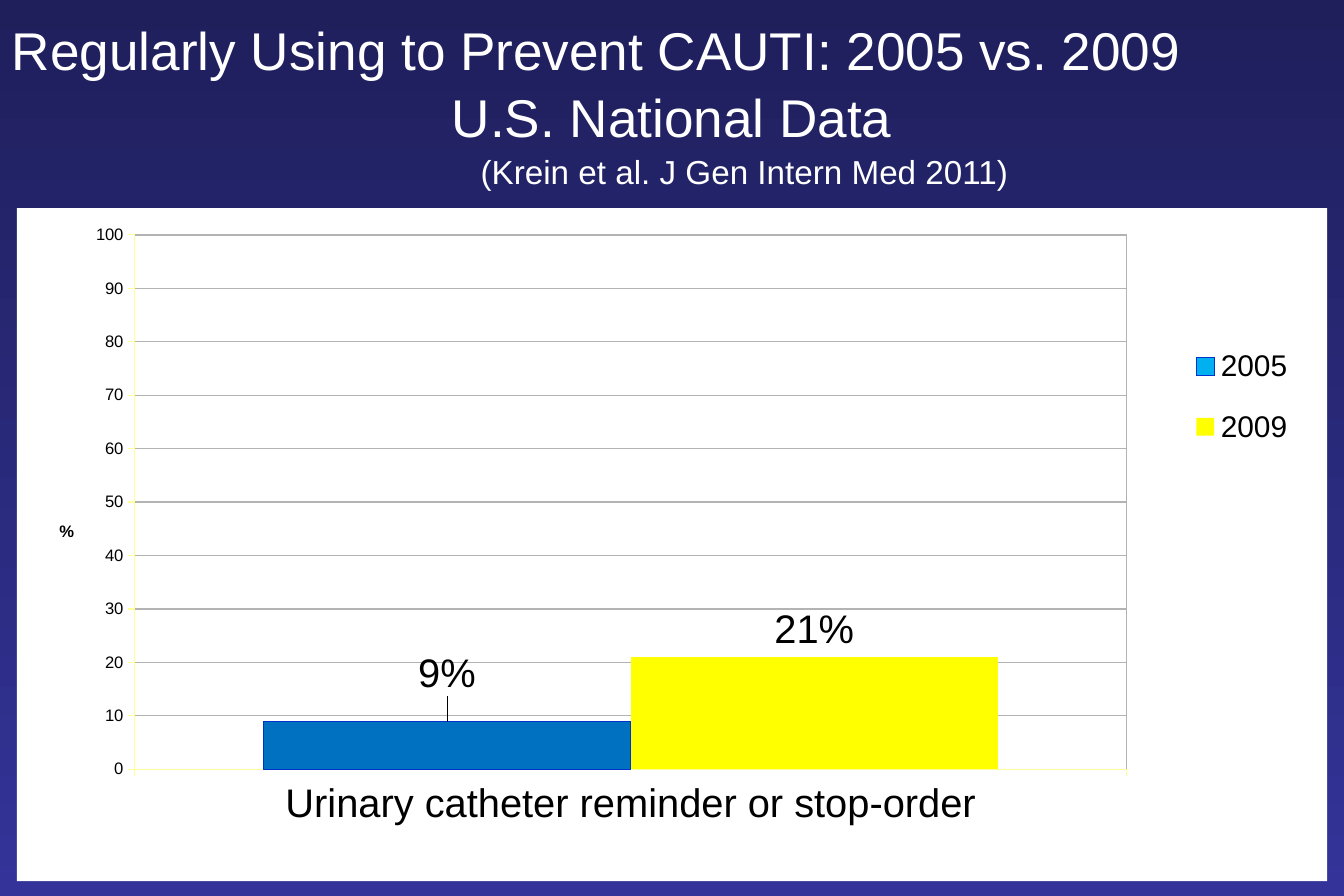
from lxml.etree import SubElement
from pptx import Presentation
from pptx.chart.data import CategoryChartData
from pptx.dml.color import RGBColor
from pptx.enum.chart import XL_CHART_TYPE, XL_LABEL_POSITION, XL_LEGEND_POSITION, XL_TICK_MARK
from pptx.enum.text import MSO_ANCHOR, MSO_AUTO_SIZE, PP_ALIGN
from pptx.oxml import parse_xml
from pptx.oxml.ns import nsdecls, qn
from pptx.util import Pt

PX = 7620  # EMU, 120 px to the inch
FONT = "Arial"
WHITE = RGBColor(0xFF, 0xFF, 0xFF)
BLACK = RGBColor(0, 0, 0)
NAVY = RGBColor(0x1F, 0x1F, 0x5C)
INDIGO = RGBColor(0x33, 0x33, 0x99)
GRID_GREY = RGBColor(0xB3, 0xB3, 0xB3)
AXIS_YELLOW = RGBColor(0xFF, 0xFF, 0x99)
SKY = RGBColor(0x00, 0xB0, 0xF0)
BLUE = RGBColor(0x00, 0x70, 0xC0)
OUTLINE_BLUE = RGBColor(0x00, 0x33, 0xCC)
YELLOW = RGBColor(0xFF, 0xFF, 0x00)

# text, size, alignment, left indent in px
TITLE_LINES = [
    ("Regularly Using to Prevent CAUTI: 2005 vs. 2009", 32, PP_ALIGN.LEFT, 0),
    ("U.S. National Data", 32, PP_ALIGN.CENTER, 0),
    ("(Krein et al. J Gen Intern Med 2011)", 20, PP_ALIGN.CENTER, 146),
]
CATEGORY = "Urinary catheter reminder or stop-order"
# year, value, legend colour, bar colour, outline, label lift
SERIES = [
    ("2005", 9, SKY, BLUE, OUTLINE_BLUE, -0.03),
    ("2009", 21, YELLOW, YELLOW, None, 0),
]
TITLE_BOX = (0, 11, 1350, 181)
CHART_BOX = (17, 209, 1316, 676)


def px(lengths):
    return [length * PX for length in lengths]


def set_layout(parent, index, **settings):
    """Give a chart part a manual layout, as fractions of the chart."""
    old = parent.find(qn("c:layout"))
    if old is not None:
        parent.remove(old)
    layout = parse_xml(f"<c:layout {nsdecls('c')}><c:manualLayout/></c:layout>")
    for name, value in settings.items():
        SubElement(layout[0], qn(f"c:{name}")).set("val", str(value))
    parent.insert(index, layout)


def style_bar(part, color, outline):
    part.format.fill.solid()
    part.format.fill.fore_color.rgb = color
    if outline is None:
        part.format.line.fill.background()
    else:
        part.format.line.color.rgb = outline
        part.format.line.width = Pt(0.75)


def style_font(font, size, color, bold=False):
    font.name, font.size, font.bold = FONT, Pt(size), bold
    font.color.rgb = color


def add_title(page):
    title = page.shapes.title
    title.left, title.top, title.width, title.height = px(TITLE_BOX)
    frame = title.text_frame
    frame.word_wrap = True
    frame.auto_size = MSO_AUTO_SIZE.NONE
    frame.vertical_anchor = MSO_ANCHOR.TOP
    frame.text = "\n".join(line[0] for line in TITLE_LINES)
    for number, (para, line) in enumerate(zip(frame.paragraphs, TITLE_LINES)):
        _, size, para.alignment, indent = line
        para.space_before = Pt(2 if number else 0)
        para._p.get_or_add_pPr().set("marL", str(indent * PX))
        style_font(para.runs[0].font, size, WHITE)


def style_axes(chart):
    for axis in (chart.category_axis, chart.value_axis):
        axis.format.line.color.rgb = AXIS_YELLOW
        axis.format.line.width = Pt(0.75)
        axis.major_tick_mark = XL_TICK_MARK.OUTSIDE
        axis.minor_tick_mark = XL_TICK_MARK.NONE
    style_font(chart.category_axis.tick_labels.font, 24, BLACK)
    percent = chart.value_axis
    style_font(percent.tick_labels.font, 10, BLACK)
    percent.minimum_scale, percent.maximum_scale, percent.major_unit = 0, 100, 10
    percent.major_gridlines.format.line.color.rgb = GRID_GREY
    percent.major_gridlines.format.line.width = Pt(0.75)
    frame = percent.axis_title.text_frame
    frame.text = "%"
    style_font(frame.paragraphs[0].runs[0].font, 10, BLACK, bold=True)
    frame._txBody.bodyPr.set("rot", "0")
    set_layout(percent.axis_title._element, 1, xMode="edge", yMode="edge", x=0.03, y=0.46)


def style_series(series, row):
    _, value, color, bar_color, outline, lift = row
    style_bar(series, color, outline)
    if bar_color != color:
        style_bar(series.points[0], bar_color, outline)
    label = series.points[0].data_label
    label.text_frame.text = f"{value}%"
    style_font(label.text_frame.paragraphs[0].runs[0].font, 24, BLACK)
    label.position = XL_LABEL_POSITION.OUTSIDE_END
    if lift:
        set_layout(series._element.find(".//" + qn("c:dLbl")), 1, x=0, y=lift)


def add_chart(page):
    data = CategoryChartData()
    data.categories = [CATEGORY]
    for year, value, *_ in SERIES:
        data.add_series(year, [value])
    chart = page.shapes.add_chart(XL_CHART_TYPE.COLUMN_CLUSTERED, *px(CHART_BOX), data).chart
    style_font(chart.font, 10, BLACK)
    chart.has_title = False
    style_axes(chart)

    plot = chart.plots[0]
    plot.vary_by_categories = False
    plot.gap_width, plot.overlap = 70, 0
    for series, row in zip(plot.series, SERIES):
        style_series(series, row)

    chart.has_legend = True
    chart.legend.position = XL_LEGEND_POSITION.RIGHT
    chart.legend.include_in_layout = False
    style_font(chart.legend.font, 18, BLACK)
    set_layout(chart.legend._element, 1, xMode="edge", yMode="edge",
               x=0.89, y=0.17, w=0.09, h=0.22)

    area = chart._chartSpace.chart.plotArea
    set_layout(area, 0, layoutTarget="inner", xMode="edge", yMode="edge",
               x=0.09, y=0.04, w=0.757, h=0.794)
    area.append(parse_xml(
        f"<c:spPr {nsdecls('c', 'a')}><a:noFill/><a:ln w='9525'><a:solidFill>"
        f"<a:srgbClr val='{GRID_GREY}'/></a:solidFill></a:ln></c:spPr>"))
    chart._chartSpace.chart.addnext(parse_xml(
        f"<c:spPr {nsdecls('c', 'a')}><a:solidFill><a:srgbClr val='{WHITE}'/>"
        "</a:solidFill><a:ln><a:noFill/></a:ln></c:spPr>"))


def main():
    deck = Presentation()
    deck.slide_width, deck.slide_height = px((1350, 900))
    page = deck.slides.add_slide(deck.slide_layouts[5])
    fill = page.background.fill
    fill.gradient()
    fill.gradient_angle = 270
    for stop, color in zip(fill.gradient_stops, (NAVY, INDIGO)):
        stop.color.rgb = color
    add_title(page)
    add_chart(page)
    deck.save("out.pptx")


if __name__ == "__main__":
    main()
